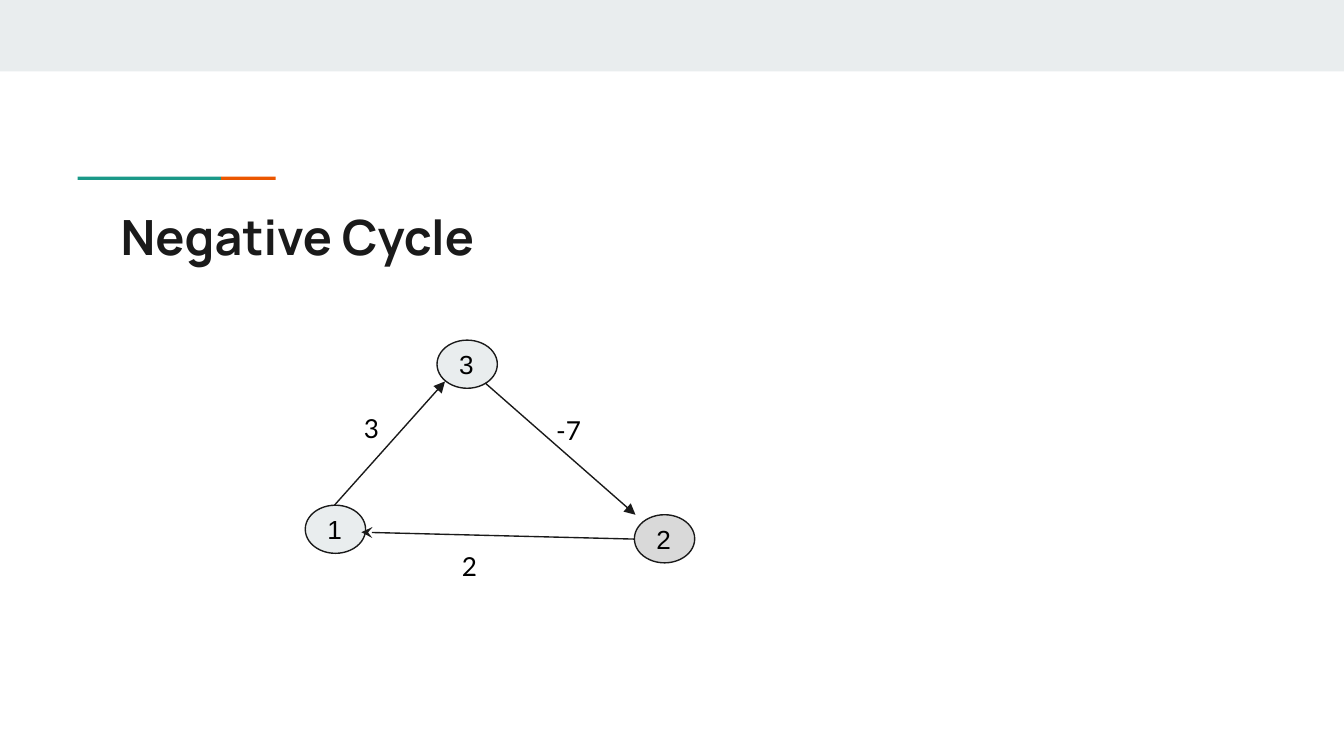
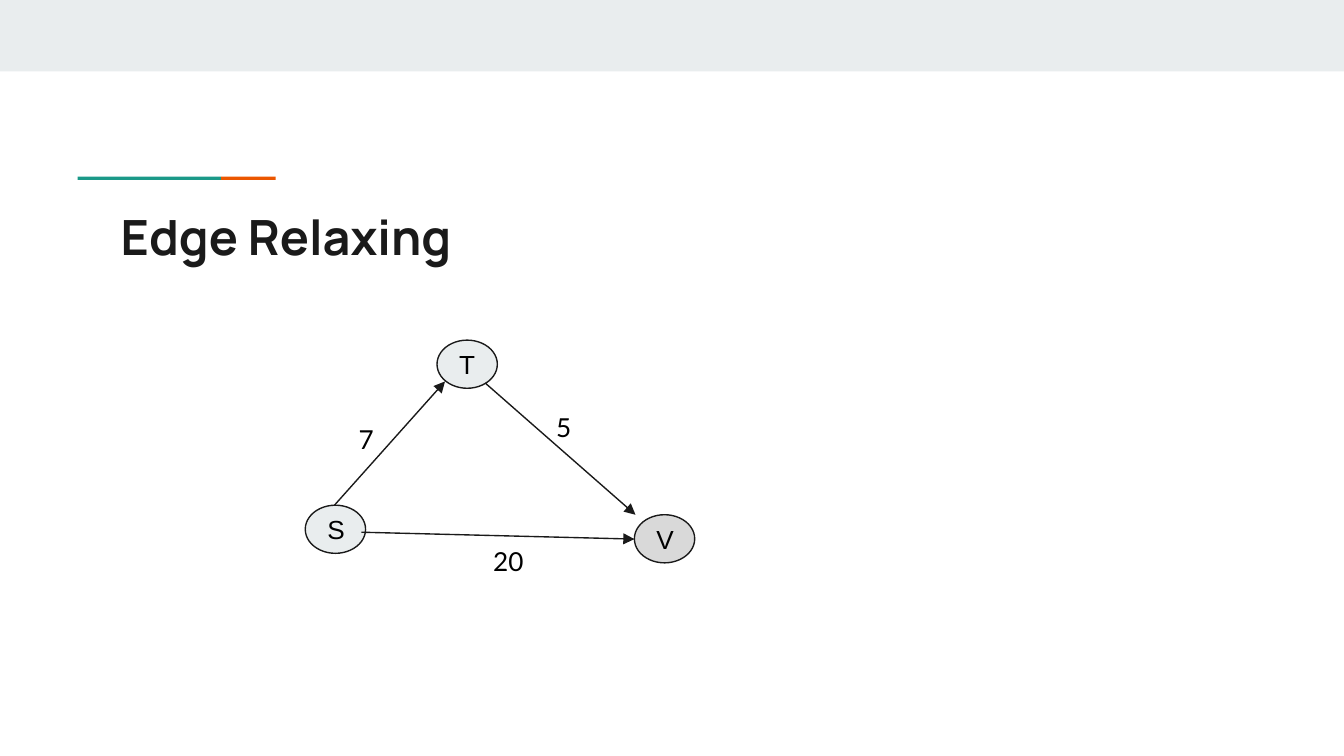
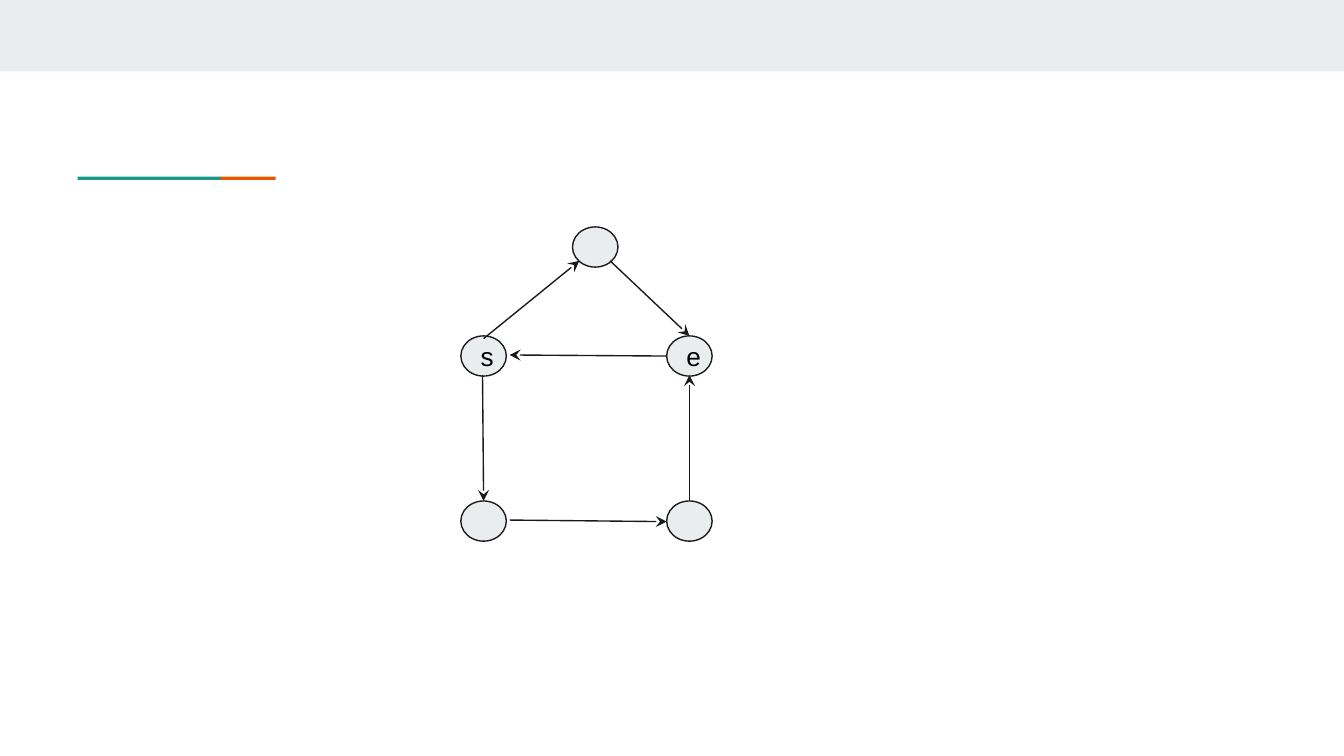
from pptx import Presentation
from pptx.dml.color import RGBColor
from pptx.enum.shapes import MSO_CONNECTOR, MSO_SHAPE
from pptx.enum.text import MSO_ANCHOR, MSO_AUTO_SIZE, PP_ALIGN
from pptx.oxml.ns import qn
from pptx.util import Cm, Pt
from lxml.etree import SubElement

# Colours
INK = RGBColor(0x1A, 0x1A, 0x1A)
BLACK = RGBColor(0x00, 0x00, 0x00)
PALE = RGBColor(0xE9, 0xED, 0xEE)
GREY = RGBColor(0xD9, 0xD9, 0xD9)
TEAL = RGBColor(0x1A, 0x99, 0x88)
ORANGE = RGBColor(0xEB, 0x56, 0x00)

# Shared layout, in cm
TITLE_ONLY, BLANK = 5, 6
SLIDE_SIZE = (25.4, 14.29)
BAND = (0, 0, 25.4, 1.35)
ACCENTS = [((1.47, 3.34, 2.71, 0.06), TEAL), ((4.18, 3.34, 1.03, 0.06), ORANGE)]
TITLE = (2.03, 3.66, 21.36, 1.5)
INSET = 0.25

# Triangle graph: left, top and fill of each node; start and end of each edge
TRIANGLE_NODE = (1.14, 0.91)
TRIANGLE_PLACES = [(11.99, 9.73, GREY), (5.77, 9.55, PALE), (8.26, 6.43, PALE)]
BASE_EDGE = (6.83, 10.06, 11.99, 10.19)
SIDE_EDGES = [(6.32, 9.55, 8.41, 7.21), (9.17, 7.24, 12.01, 9.73)]

# House graph: left, top and name of each node; edges with their arrow end
HOUSE_NODE = (0.86, 0.76)
HOUSE_NODES = [(8.71, 6.35, "s"), (10.82, 4.29, ""), (12.6, 6.35, "e"),
               (8.71, 9.47, ""), (12.6, 9.47, "")]
HOUSE_EDGES = [
    ((9.63, 6.71, 12.6, 6.73), "headEnd"),
    ((9.63, 9.83, 12.6, 9.86), "tailEnd"),
    ((9.12, 7.09, 9.14, 9.47), "tailEnd"),
    ((13.03, 7.09, 13.03, 9.47), "headEnd"),
    ((9.14, 6.4, 10.95, 4.93), "tailEnd"),
    ((11.53, 4.93, 13.03, 6.35), "tailEnd"),
]


def lengths(values):
    return [Cm(value) for value in values]


def write(frame, text, font_name, size, color, bold=False, anchor=MSO_ANCHOR.TOP):
    frame.text = text
    frame.word_wrap = True
    frame.auto_size = MSO_AUTO_SIZE.NONE
    frame.vertical_anchor = anchor
    frame.margin_left = frame.margin_right = Cm(INSET)
    frame.margin_top = frame.margin_bottom = Cm(INSET)
    paragraph = frame.paragraphs[0]
    paragraph.alignment = PP_ALIGN.LEFT
    for run in paragraph.runs:
        run.font.name = font_name
        run.font.size = Pt(size)
        run.font.bold = bold
        run.font.color.rgb = color


def add_filled(slide, kind, box, color):
    shape = slide.shapes.add_shape(kind, *lengths(box))
    shape.shadow.inherit = False
    shape.fill.solid()
    shape.fill.fore_color.rgb = color
    shape.line.fill.background()
    return shape


def add_node(slide, box, name, color=PALE):
    node = add_filled(slide, MSO_SHAPE.OVAL, box, color)
    node.line.color.rgb = INK
    node.line.width = Pt(0.75)
    if name:
        write(node.text_frame, name, "Arial", 14, BLACK, anchor=MSO_ANCHOR.MIDDLE)


def add_edge(slide, ends, arrow_end="tailEnd", arrow="triangle"):
    edge = slide.shapes.add_connector(MSO_CONNECTOR.STRAIGHT, *lengths(ends))
    edge.line.color.rgb = INK
    edge.line.width = Pt(0.75)
    properties = edge.element.spPr
    SubElement(properties.find(qn("a:ln")), qn("a:" + arrow_end), type=arrow)
    SubElement(properties, qn("a:effectLst"))


def add_weight(slide, box, weight):
    label = slide.shapes.add_textbox(*lengths(box))
    write(label.text_frame, weight, "Lato", 14, BLACK)


def add_page(deck, title=None):
    """Add a slide with the top band, the accent rule and an optional title."""
    slide = deck.slides.add_slide(deck.slide_layouts[TITLE_ONLY if title else BLANK])
    add_filled(slide, MSO_SHAPE.RECTANGLE, BAND, PALE)
    for box, color in ACCENTS:
        add_filled(slide, MSO_SHAPE.RECTANGLE, box, color)
    if title:
        heading = slide.shapes.title
        heading.left, heading.top, heading.width, heading.height = lengths(TITLE)
        write(heading.text_frame, title, "Manrope", 26, INK, bold=True)
    return slide


def add_triangle(slide, names, base_arrow, weights):
    for (left, top, color), name in zip(TRIANGLE_PLACES, names):
        add_node(slide, (left, top, *TRIANGLE_NODE), name, color)
    add_edge(slide, BASE_EDGE, *base_arrow)
    for ends in SIDE_EDGES:
        add_edge(slide, ends)
    for weight, box in weights:
        add_weight(slide, box, weight)


def add_house(slide):
    for left, top, name in HOUSE_NODES:
        add_node(slide, (left, top, *HOUSE_NODE), name)
    for ends, arrow_end in HOUSE_EDGES:
        add_edge(slide, ends, arrow_end, "stealth")


def main():
    deck = Presentation()
    deck.slide_width, deck.slide_height = lengths(SLIDE_SIZE)

    # Negative cycle
    add_triangle(add_page(deck, "Negative Cycle"), "213", ("headEnd", "stealth"), [
        ("3", (6.63, 7.54, 1.55, 1.17)),
        ("-7", (10.26, 7.59, 1.32, 1.17)),
        ("2", (8.48, 10.16, 2.24, 0.74)),
    ])

    # Edge relaxing
    add_triangle(add_page(deck, "Edge Relaxing"), "VST", ("tailEnd", "triangle"), [
        ("20", (9.07, 10.06, 1.32, 1.63)),
        ("7", (6.53, 7.75, 1.32, 0.74)),
        ("5", (10.26, 7.52, 1.45, 0.74)),
    ])

    # Two cycles sharing the edge from e to s
    add_house(add_page(deck))

    deck.save("out.pptx")


if __name__ == "__main__":
    main()
